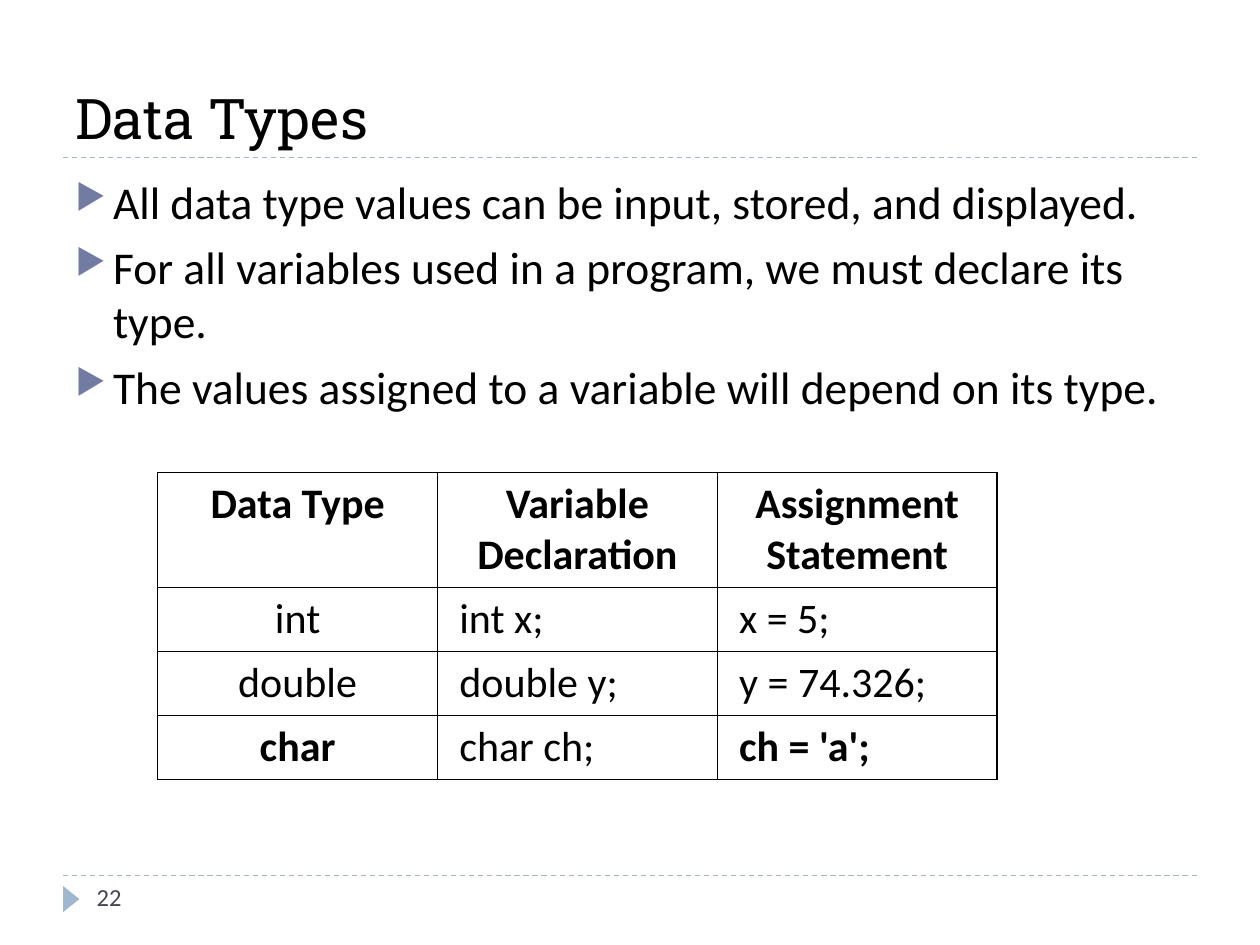
from lxml import etree
from pptx import Presentation
from pptx.dml.color import RGBColor
from pptx.enum.dml import MSO_LINE
from pptx.enum.shapes import MSO_CONNECTOR, MSO_SHAPE
from pptx.enum.text import MSO_ANCHOR, PP_ALIGN
from pptx.oxml.ns import qn
from pptx.util import Cm, Pt

DASH = MSO_LINE.DASH
STRAIGHT = MSO_CONNECTOR.STRAIGHT
TRIANGLE = MSO_SHAPE.ISOSCELES_TRIANGLE
TOP, BOTTOM = MSO_ANCHOR.TOP, MSO_ANCHOR.BOTTOM
LEFT, CENTER = PP_ALIGN.LEFT, PP_ALIGN.CENTER

BLACK, WHITE, PALE_BLUE = "000000", "FFFFFF", "9FB8CD"
TITLE = {"name": "Roboto Slab", "size": Pt(32)}
BODY = {"name": "Calibri", "size": Pt(26)}
CELL = {"name": "Calibri", "size": Pt(24)}
NUMBER = {"name": "Calibri", "size": Pt(14)}


def color(hex_string):
    return RGBColor.from_string(hex_string)


def write(paragraph, text, formats, hex_string=BLACK):
    run = paragraph.add_run()
    run.text = text
    for name, value in formats.items():
        setattr(run.font, name, value)
    run.font.color.rgb = color(hex_string)


presentation = Presentation()
presentation.slide_width, presentation.slide_height = Cm(25.4), Cm(19.05)
slide = presentation.slides.add_slide(presentation.slide_layouts[6])

# Dashed rules above the footer and below the title
for y in (17.65, 3.18):
    rule = slide.shapes.add_connector(STRAIGHT, Cm(1.27), Cm(y), Cm(24.13), Cm(y))
    rule.line.color.rgb = color(PALE_BLUE)
    rule.line.width = Pt(0.75)
    rule.line.dash_style = DASH
    etree.SubElement(rule._element.spPr, qn("a:effectLst"))

# Footer arrow
arrow = slide.shapes.add_shape(TRIANGLE, Cm(1.17), Cm(17.96), Cm(0.53), Cm(0.33))
arrow.rotation = 90
arrow.shadow.inherit = False
arrow.fill.solid()
arrow.fill.fore_color.rgb = color(PALE_BLUE)
arrow.line.fill.background()

# Text boxes: title, bullets, slide number
frames = []
for left, top, width, height, anchor in (
    (1.27, 0.43, 22.86, 2.74, BOTTOM),
    (1.27, 3.38, 22.86, 13.72, TOP),
    (1.7, 17.65, 5.51, 1.02, TOP),
):
    box = slide.shapes.add_textbox(Cm(left), Cm(top), Cm(width), Cm(height))
    box.text_frame.word_wrap = True
    box.text_frame.vertical_anchor = anchor
    frames.append(box.text_frame)
title, body, number = frames
write(title.paragraphs[0], "Data Types", TITLE)
write(number.paragraphs[0], "22", NUMBER, "464653")

# Bullets
bullets = (
    "All data type values can be input, stored, and displayed.",
    "For all variables used in a program, we must declare its type.",
    "The values assigned to a variable will depend on its type.",
)
for index, text in enumerate(bullets):
    paragraph = body.add_paragraph() if index else body.paragraphs[0]
    properties = paragraph._p.get_or_add_pPr()
    properties.set("marL", str(Cm(0.76)))
    properties.set("indent", str(-Cm(0.76)))
    bullet_color = etree.SubElement(properties, qn("a:buClr"))
    etree.SubElement(bullet_color, qn("a:srgbClr"), val="727CA3")
    etree.SubElement(properties, qn("a:buSzPct"), val="76000")
    etree.SubElement(properties, qn("a:buChar"), char="▶")
    if index:
        paragraph.space_before = Pt(6)
    write(paragraph, text, BODY)

# Table of data types
rows = (
    ("Data Type", "Variable Declaration", "Assignment Statement"),
    ("int", "int x;", "x = 5;"),
    ("double", "double y;", "y = 74.326;"),
    ("char", "char ch;", "ch = 'a';"),
)
bold_cells = {(0, 0), (0, 1), (0, 2), (3, 0), (3, 2)}
row_heights = (2.32, 1.29, 1.29, 1.29)
table = slide.shapes.add_table(
    len(rows), 3, Cm(3.18), Cm(9.52), Cm(16.92), Cm(sum(row_heights))
).table
for column in table.columns:
    column.width = Cm(5.64)
for row_index, (texts, height) in enumerate(zip(rows, row_heights)):
    table.rows[row_index].height = Cm(height)
    for column_index, text in enumerate(texts):
        cell = table.cell(row_index, column_index)
        centered = row_index == 0 or column_index == 0
        if not centered:
            cell.margin_left = Cm(0.44)
        paragraph = cell.text_frame.paragraphs[0]
        paragraph.alignment = CENTER if centered else LEFT
        bold = (row_index, column_index) in bold_cells
        write(paragraph, text, {**CELL, "bold": bold})
        # Borders go before the fill in the cell properties
        cell_properties = cell._tc.get_or_add_tcPr()
        for side in ("a:lnL", "a:lnR", "a:lnT", "a:lnB"):
            border = etree.SubElement(cell_properties, qn(side), w=str(Pt(1)))
            border_fill = etree.SubElement(border, qn("a:solidFill"))
            etree.SubElement(border_fill, qn("a:srgbClr"), val=BLACK)
        cell.fill.solid()
        cell.fill.fore_color.rgb = color(WHITE)

presentation.save("out.pptx")
